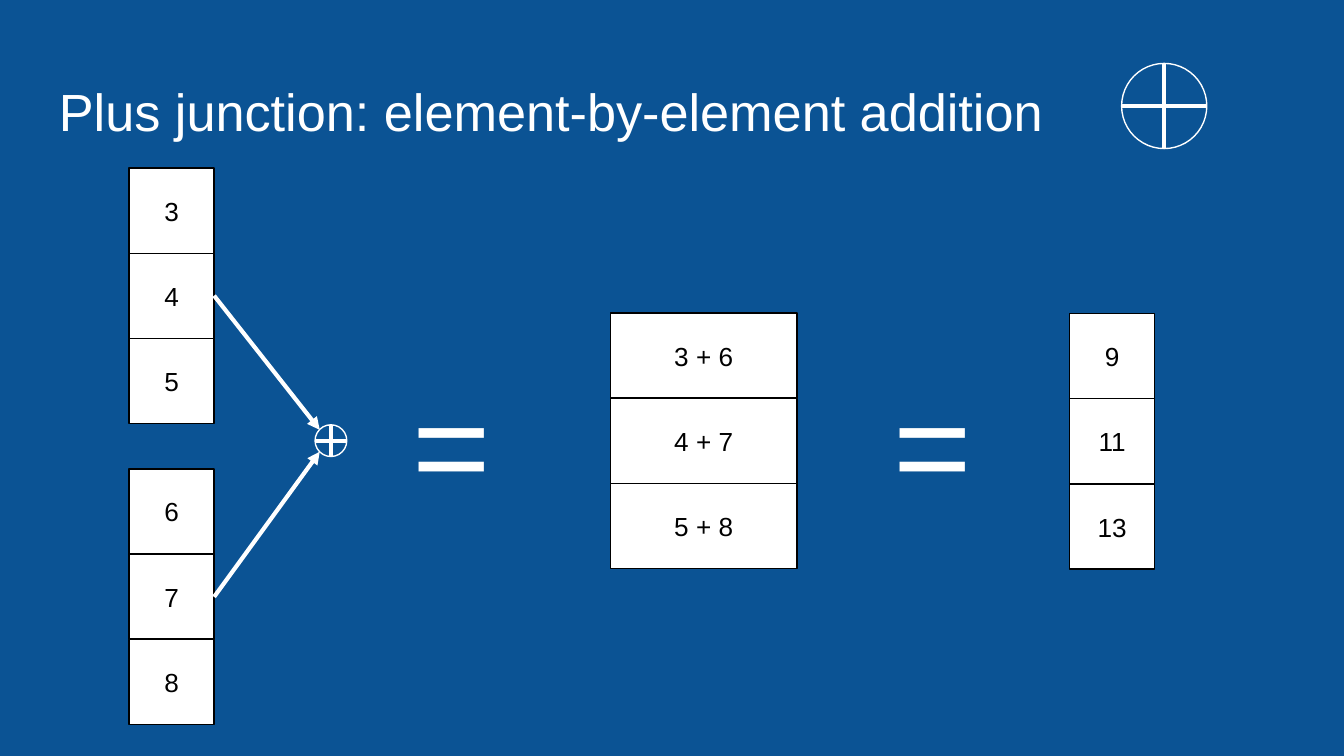
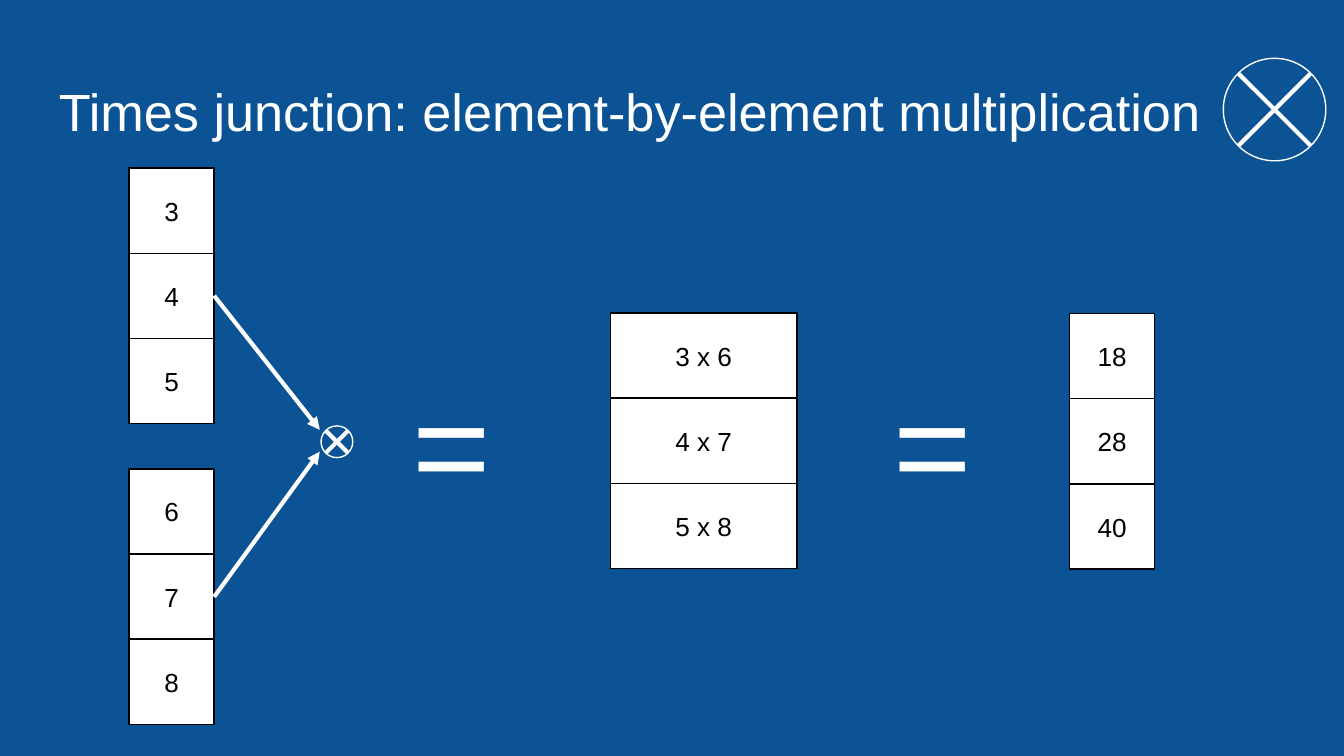
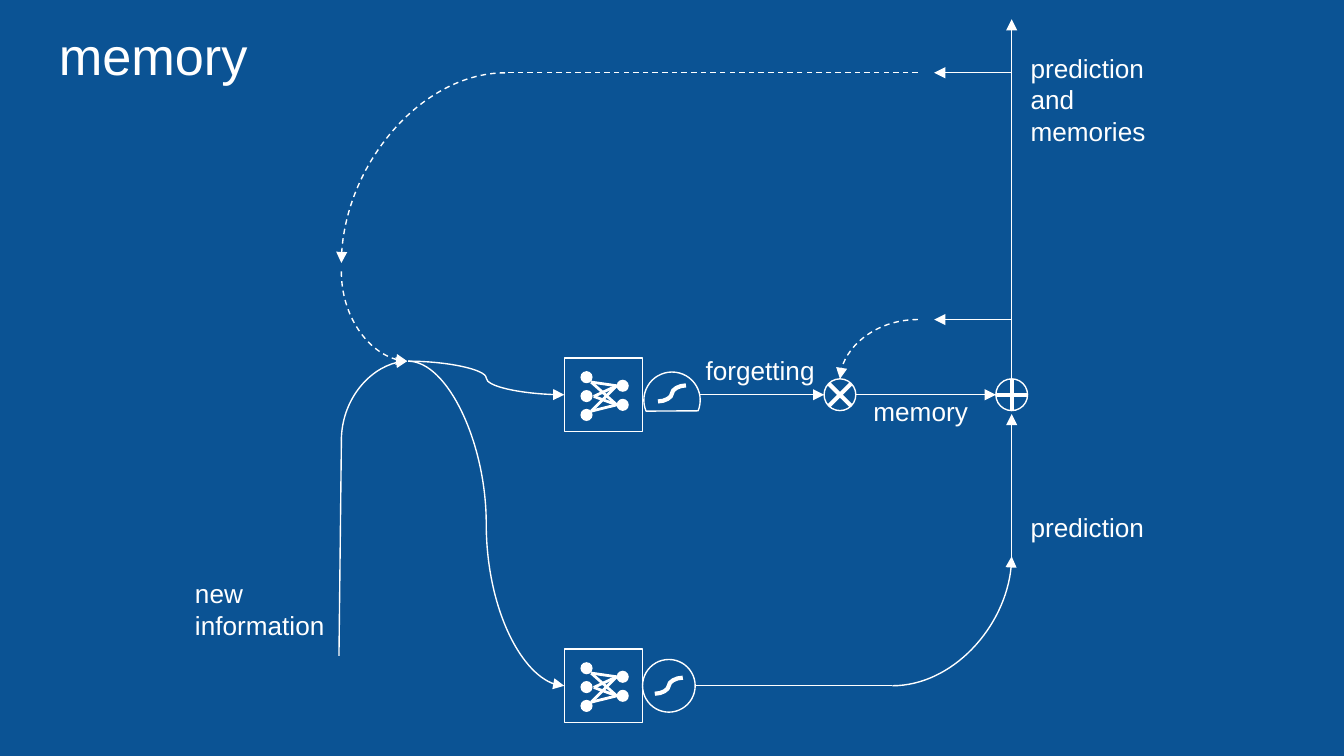
from math import cos, pi, sin

from lxml.etree import SubElement
from pptx import Presentation
from pptx.dml.color import RGBColor
from pptx.enum.dml import MSO_LINE as Dash
from pptx.enum.shapes import MSO_CONNECTOR as Link
from pptx.enum.shapes import MSO_SHAPE as Form
from pptx.enum.text import MSO_ANCHOR as Anchor
from pptx.enum.text import PP_ALIGN as Align
from pptx.oxml.ns import qn
from pptx.util import Pt

BLUE, WHITE, BLACK = "0B5394", "FFFFFF", "000000"
FONT = "Arial"
PAD = 7.2
THIN, MID, BOLD = 0.75, 1.5, 2.25
CELL = 45.65
MARK = 17


def paint(fmt, color):
    """Give a fill, line or font format one solid colour."""
    if hasattr(fmt, "solid"):
        fmt.solid()
        fmt = fmt.fore_color
    else:
        fmt = fmt.color
    fmt.rgb = RGBColor.from_string(color)


def write(frame, text, size, color=WHITE):
    frame.word_wrap = True
    frame.margin_left = frame.margin_right = Pt(PAD)
    frame.margin_top = frame.margin_bottom = Pt(PAD)
    run = frame.paragraphs[0].add_run()
    run.text = text
    run.font.name, run.font.size = FONT, Pt(size)
    paint(run.font, color)


def label(slide, text, x, y, w, h=31.7, size=14):
    box = slide.shapes.add_textbox(Pt(x), Pt(y), Pt(w), Pt(h))
    write(box.text_frame, text, size)


def shape(shapes, form, x, y, w, h, fill=None, line=None):
    item = shapes.add_shape(form, Pt(x), Pt(y), Pt(w), Pt(h))
    item.shadow.inherit = False
    if fill:
        paint(item.fill, fill)
    else:
        item.fill.background()
    if line:
        paint(item.line, line)
        item.line.width = Pt(THIN)
    else:
        item.line.fill.background()
    return item


def disc(shapes, x, y, size, fill=None, line=None):
    """Draw a circle around the centre x, y."""
    shape(shapes, Form.OVAL, x - size / 2, y - size / 2, size, size, fill, line)


def wire(shapes, start, end, width=THIN, tip=None, dash=False, kind=Link.STRAIGHT):
    """Join two points; tip is the end that gets an arrowhead, head or tail."""
    item = shapes.add_connector(kind, *map(Pt, start + end))
    paint(item.line, WHITE)
    item.line.width = Pt(width)
    if dash:
        item.line.dash_style = Dash.DASH
    props = item._element.spPr
    if tip:
        SubElement(props.find(qn("a:ln")), qn(f"a:{tip}End"), type="triangle")
    SubElement(props, qn("a:effectLst"))
    return item


def bend(shapes, start, end, tip, dash=False):
    """Draw a quarter turn that leaves start sideways and meets end upright."""
    item = wire(shapes, start, end, tip=tip, dash=dash, kind=Link.CURVE)
    item._element.spPr.find(qn("a:prstGeom")).set("prst", "curvedConnector2")


def junction(slide, sign, x, y, size=MARK):
    """Draw a circled plus or times sign around the centre x, y."""
    shapes = slide.shapes.add_group_shape().shapes
    disc(shapes, x, y, size, line=WHITE)
    first = 0 if sign == "+" else pi / 4
    for angle in (first, first + pi / 2):
        dx, dy = cos(angle) * size / 2, sin(angle) * size / 2
        wire(shapes, (x - dx, y - dy), (x + dx, y + dy), BOLD)


def stack(slide, values, x, y, w=CELL):
    for row, value in enumerate(values):
        cell = shape(slide.shapes, Form.RECTANGLE, x, y + row * CELL, w, CELL, WHITE, BLACK)
        frame = cell.text_frame
        write(frame, str(value), 14, BLACK)
        frame.vertical_anchor = Anchor.MIDDLE
        frame.paragraphs[0].alignment = Align.CENTER


def net(slide, x, y):
    """Draw a boxed network of three and two nodes."""
    shapes = slide.shapes.add_group_shape().shapes
    lefts = [(x + 11.9, y + 10.4 + 10.1 * n) for n in range(3)]
    rights = [(x + 31.3, y + 15 + 10.2 * n) for n in range(2)]
    for node in lefts + rights:
        disc(shapes, *node, 6.5, fill=WHITE)
    starts = [(x + 14.4, y + 13), (x + 15.8, y + 20.7), (x + 14.4, y + 28.6)]
    for start in starts:
        for px, py in rights:
            wire(shapes, start, (px - 3.2, py), MID)
    shape(shapes, Form.RECTANGLE, x, y, 42, 39.6, line=WHITE)


def squash(slide, x, y, size, cut=False):
    """Draw a sigmoid in a circle, or in one with its lower part cut off."""
    shapes = slide.shapes.add_group_shape().shapes
    form = Form.CHORD if cut else Form.OVAL
    rim = shape(shapes, form, x, y, size, size, line=WHITE)
    if cut:
        rim.rotation = 112.1
    mx, my = x + size / 2, y + size / 2 - (3.6 if cut else 0)
    wire(shapes, (mx - 7.5, my + 4.3), (mx + 7.5, my - 4.3), BOLD, kind=Link.CURVE)


def sums(slide, title, sign, word, results, small, large):
    """Lay out two vectors, their junction, the terms and the results."""
    label(slide, title, 24.5, 35.3, 671, 45.4, 28)
    tops, lows = (3, 4, 5), (6, 7, 8)
    stack(slide, tops, 69.1, 90.1)
    stack(slide, lows, 69.1, 251.2)
    wire(slide.shapes, (114.7, 158.4), (171.3, 230.3), BOLD, "tail")
    wire(slide.shapes, (114.7, 319.8), (171.3, 242), BOLD, "tail")
    for x in (213.8, 471.5):
        label(slide, "=", x, 185.8, 83.5, 114.5, 72)
    stack(slide, [f"{a} {word} {b}" for a, b in zip(tops, lows)], 327.1, 167.7, 99.8)
    stack(slide, results, 573, 168)
    junction(slide, sign, *small)
    junction(slide, sign, *large)


def memory(slide):
    shapes = slide.shapes
    axis, gate, loop, fork = 542, 450, 182.9, 193.5
    mid, low, top, back = 211.5, 367.4, 39, 171.2
    half = MARK / 2

    for y in (191.7, 347.6):
        net(slide, 302.3, y)
    squash(slide, 344.2, 353.3, 28.2)
    squash(slide, 344.9, 199.3, 30.2, cut=True)
    junction(slide, "+", axis, mid)
    junction(slide, "x", gate, mid)

    for y in (mid, low):
        wire(shapes, (218.7, fork), (302.3, y), tip="tail", kind=Link.CURVE)
    arrows = [
        ((375, mid), (gate - half, mid)),
        ((gate + half, mid), (axis - half, mid)),
        ((axis, 302.4), (axis, 221.8)),
        ((axis, mid - half), (axis, 10.3)),
        ((axis, back), (500.5, back)),
        ((axis, top), (500.5, top)),
    ]
    for start, end in arrows:
        wire(shapes, start, end, tip="tail")
    wire(shapes, (491.8, top), (270.7, top), dash=True)
    wire(shapes, (loop, 236.2), (181.6, 351.4))
    wire(shapes, (478.1, low), (372.4, low))

    bend(shapes, (478.1, low), (axis, 298.1), "tail")
    bend(shapes, (491.8, back), (gate, mid - half), "tail", dash=True)
    bend(shapes, (270.7, top), (loop, 140.9), "tail", dash=True)
    bend(shapes, (218.2, fork), (loop, 145.4), "head", dash=True)
    bend(shapes, (218.2, fork), (loop, 236.2), "head")

    label(slide, "prediction and memories", 545, 20.9, 94.3)
    label(slide, "memory", 460.8, 204.5, 66.2)
    label(slide, "forgetting", 370.9, 182.8, 74.9)
    label(slide, "new information", 97.4, 302.3, 86.4, 56.2)
    label(slide, "prediction", 545, 267, 80.6)
    label(slide, "memory", 24.5, 5.2, 165.6, 199.4, 28)


def main():
    deck = Presentation()
    deck.slide_width, deck.slide_height = Pt(720), Pt(405)
    paint(deck.slide_master.background.fill, BLUE)
    plus, times, recall = (deck.slides.add_slide(deck.slide_layouts[6]) for _ in range(3))
    sums(plus, "Plus junction: element-by-element addition", "+", "+",
         (9, 11, 13), (177.3, 236.1), (623.7, 56.8, CELL))
    sums(times, "Times junction: element-by-element multiplication", "x", "x",
         (18, 28, 40), (180.5, 236.7), (682.8, 58.7, 54.9))
    memory(recall)
    deck.save("out.pptx")


if __name__ == "__main__":
    main()
